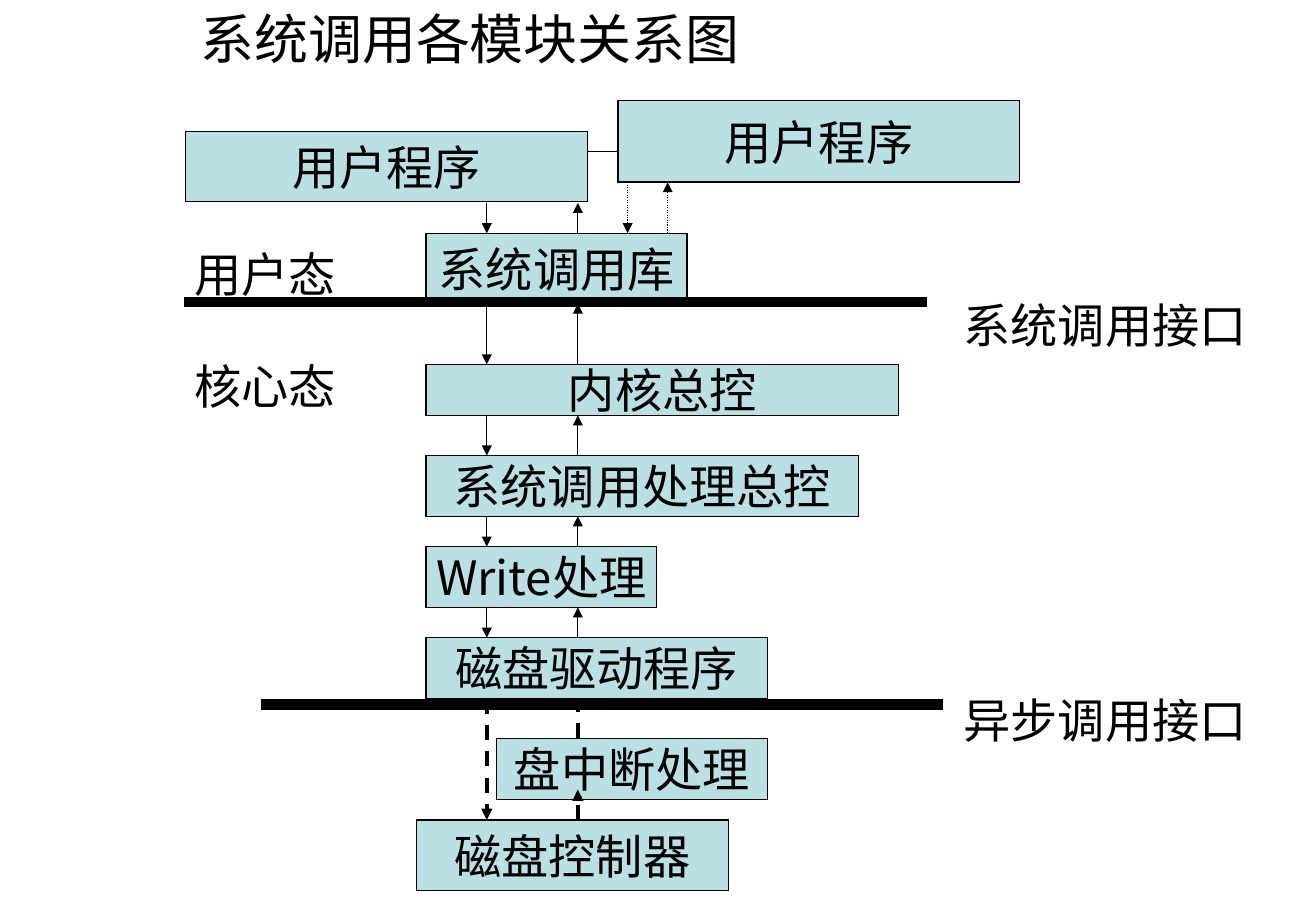
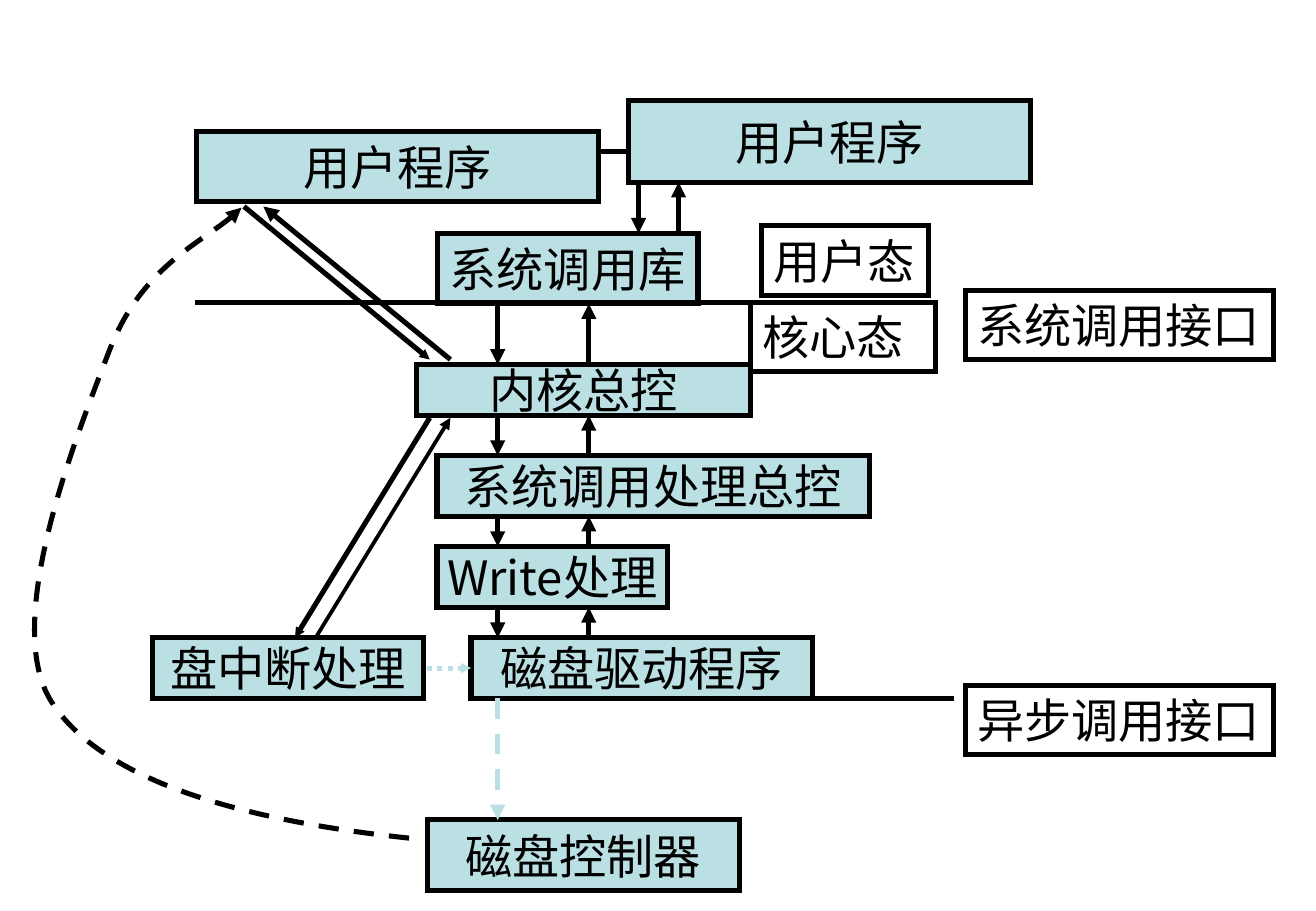
from lxml import etree
from pptx import Presentation
from pptx import util as u
from pptx.dml.color import RGBColor
from pptx.enum import dml, shapes, text
from pptx.oxml import ns

BLACK = RGBColor(0x00, 0x00, 0x00)
TEAL = RGBColor(0xBB, 0xE0, 0xE3)
SANS = "Noto Sans CJK SC"
SERIF = "Times New Roman"
DASH = dml.MSO_LINE.DASH
DOT = dml.MSO_LINE.ROUND_DOT

MODULE_GAPS = [(2.5, 3), (3.42, 3.75), (4.25, 4.5), (5, 5.25)]
DOWN, UP = 2.51, 3.26
STATE_WIDTH, INTERFACE_WIDTH, LABEL_HEIGHT = 1.38, 2.54, 0.57


def write(frame, words, size=28, font=SANS, align=text.PP_ALIGN.LEFT,
          anchor=text.MSO_ANCHOR.TOP, wrap=False, grow=False):
    frame.word_wrap = wrap
    frame.vertical_anchor = anchor
    frame.auto_size = (text.MSO_AUTO_SIZE.SHAPE_TO_FIT_TEXT if grow
                       else text.MSO_AUTO_SIZE.NONE)
    frame.margin_left = frame.margin_right = u.Inches(0.1)
    frame.margin_top = frame.margin_bottom = u.Inches(0.05)
    paragraph = frame.paragraphs[0]
    paragraph.alignment = align
    run = paragraph.add_run()
    run.text = words
    run.font.size = u.Pt(size)
    run.font.name = font
    run.font.color.rgb = BLACK
    east_asian = etree.SubElement(run.font._element, ns.qn("a:ea"))
    east_asian.set("typeface", SANS)


def stroke(line, width, color=BLACK, dash=None, arrow=False, head_size="med"):
    line.color.rgb = color
    line.width = u.Pt(width)
    if dash is not None:
        line.dash_style = dash
    outline = line._get_or_add_ln()
    etree.SubElement(outline, ns.qn("a:miter")).set("lim", "800000")
    if arrow:
        head = etree.SubElement(outline, ns.qn("a:tailEnd"))
        head.set("type", "triangle")
        head.set("w", head_size)
        head.set("len", head_size)


def label(slide, words, box, border=None, **style):
    caption = slide.shapes.add_textbox(*map(u.Inches, box))
    write(caption.text_frame, words, grow=True, **style)
    if border:
        stroke(caption.line, border)


def module(slide, words, box, border):
    block = slide.shapes.add_shape(shapes.MSO_SHAPE.RECTANGLE, *map(u.Inches, box))
    block.shadow.inherit = False
    block.fill.solid()
    block.fill.fore_color.rgb = TEAL
    stroke(block.line, border)
    write(block.text_frame, words, align=text.PP_ALIGN.CENTER,
          anchor=text.MSO_ANCHOR.MIDDLE)
    return block


def link(slide, start, end, width, **style):
    connector = slide.shapes.add_connector(
        shapes.MSO_CONNECTOR.STRAIGHT, *map(u.Inches, (*start, *end)))
    stroke(connector.line, width, **style)
    etree.SubElement(connector._element.spPr, ns.qn("a:effectLst"))
    return connector


def curve(slide, points, width, **style):
    corners = [(u.Inches(x), u.Inches(y)) for x, y in points]
    builder = slide.shapes.build_freeform(*corners[0])
    builder.add_line_segments(corners[1:], close=False)
    arc = builder.convert_to_shape()
    arc.shadow.inherit = False
    arc.fill.background()
    stroke(arc.line, width, **style)
    outline = next(arc._element.iter(ns.qn("a:path")))
    segments = outline.findall(ns.qn("a:lnTo"))
    for first in range(0, len(segments), 3):
        bezier = etree.SubElement(outline, ns.qn("a:cubicBezTo"))
        for segment in segments[first:first + 3]:
            bezier.append(segment[0])
            outline.remove(segment)


def call_stack(slide, left, pen, rule, kernel, interrupt, driver,
               async_rule, library_dash=None):
    module(slide, "用户程序", (left + 0.03, 1.08, 3.31, 0.58), pen)
    module(slide, "用户程序", (left + 3.59, 0.83, 3.31, 0.67), pen)
    module(slide, "系统调用库", (left + 2.01, 1.92, 2.15, 0.58), pen)
    module(slide, "内核总控", kernel, pen)
    module(slide, "系统调用处理总控", (left + 2.01, 3.75, 3.56, 0.5), pen)
    module(slide, "Write处理", (left + 2.01, 4.5, 1.9, 0.5), pen)
    module(slide, "磁盘控制器", (left + 1.93, 6.75, 2.57, 0.58), pen)
    module(slide, "盘中断处理", interrupt, pen)
    disk_driver = module(slide, "磁盘驱动程序", driver, pen)

    link(slide, (left + 0.02, 2.49), (left + 6.14, 2.49), rule)
    link(slide, *async_rule, rule)
    link(slide, (left + 3.34, 1.25), (left + 3.59, 1.25), pen)
    for top, bottom in MODULE_GAPS:
        two_way(slide, left + DOWN, left + UP, top, bottom, pen)
    two_way(slide, left + 3.67, left + 4, 1.5, 1.92, pen, dash=library_dash)
    return disk_driver


def two_way(slide, down, up, top, bottom, pen, **style):
    link(slide, (down, top), (down, bottom), pen, arrow=True, **style)
    link(slide, (up, bottom), (up, top), pen, arrow=True, **style)


def interface_labels(slide, left, border=None):
    for words, top in (("系统调用接口", 2.39), ("异步调用接口", 5.64)):
        label(slide, words, (left, top, INTERFACE_WIDTH, LABEL_HEIGHT), border)


def relation_slide(slide):
    left, pen, heavy = 1.5, 0.75, 2.25
    label(slide, "系统调用各模块关系图", (1.55, 0, 4.65, 0.64), size=32, font=SERIF)
    interface_labels(slide, 7.84)
    for words, top in (("用户态", 1.97), ("核心态", 2.89)):
        label(slide, words, (left, top, STATE_WIDTH, LABEL_HEIGHT))
    call_stack(slide, left, pen, rule=6,
               kernel=(3.51, 3, 3.89, 0.42),
               interrupt=(4.09, 6.08, 2.23, 0.5),
               driver=(3.51, 5.25, 2.81, 0.5),
               async_rule=((2.15, 5.8), (7.77, 5.8)),
               library_dash=DOT)
    two_way(slide, left + DOWN, left + UP, 1.67, 1.92, pen)
    for x, start, end in ((DOWN, 5.75, 6.75), (UP, 6.08, 5.75), (UP, 6.75, 6.5)):
        link(slide, (left + x, start), (left + x, end), heavy, dash=DASH, arrow=True)


def interrupt_slide(slide):
    left, pen = 1.59, 3
    interface_labels(slide, 7.95, pen)
    label(slide, "用户态", (6.27, 1.86, STATE_WIDTH, LABEL_HEIGHT), pen)
    label(slide, "核心态", (6.18, 2.49, 1.53, LABEL_HEIGHT), pen, wrap=True)
    disk_driver = call_stack(slide, left, pen, rule=pen,
                             kernel=(3.43, 3, 2.75, 0.42),
                             interrupt=(1.26, 5.25, 2.23, 0.5),
                             driver=(3.88, 5.25, 2.81, 0.5),
                             async_rule=((3.97, 5.75), (7.86, 5.75)))
    link(slide, (left + DOWN, 5.75), (left + DOWN, 6.75), pen,
         color=TEAL, dash=DASH, arrow=True)
    curve(slide, [(3.37, 6.9), (2.04, 6.76), (0.84, 6.44), (0.42, 5.77),
                  (0.01, 5.11), (0.64, 3.57), (0.9, 2.89),
                  (1.16, 2.21), (1.76, 1.95), (1.99, 1.71)],
          pen, dash=DASH, arrow=True)
    for start, end, width, head_size in (
            ((3.54, 3.44), (2.43, 5.25), pen, "sm"),
            ((2.6, 5.25), (3.71, 3.44), 2.25, "med"),
            ((3.71, 2.96), (2.17, 1.7), pen, "med"),
            ((2.01, 1.7), (3.54, 2.96), pen, "sm")):
        link(slide, start, end, width, arrow=True, head_size=head_size)
    wake_up = link(slide, (3.52, 5.5), (3.88, 5.5), pen,
                   color=TEAL, dash=DOT, arrow=True, head_size="sm")
    wake_up.end_connect(disk_driver, 1)


def main():
    deck = Presentation()
    deck.slide_width, deck.slide_height = u.Inches(10.84), u.Inches(7.5)
    for fill_slide in (relation_slide, interrupt_slide):
        fill_slide(deck.slides.add_slide(deck.slide_layouts[6]))
    deck.save("out.pptx")


if __name__ == "__main__":
    main()
